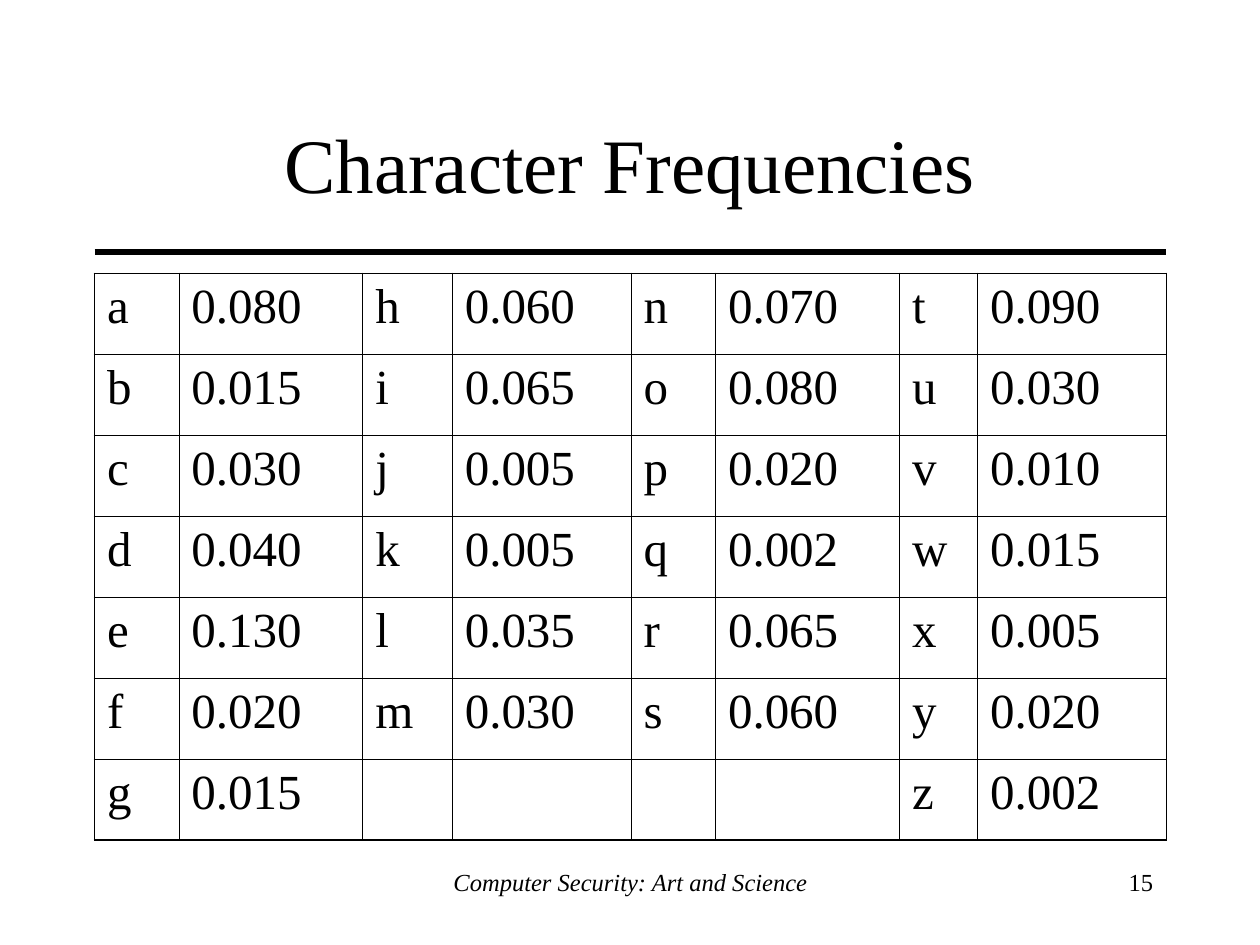
from lxml import etree
from pptx import Presentation
from pptx.dml.color import RGBColor
from pptx.enum.shapes import MSO_CONNECTOR
from pptx.enum.text import MSO_ANCHOR, PP_ALIGN
from pptx.oxml.ns import qn
from pptx.util import Inches, Pt

LEFT, CENTER, RIGHT = PP_ALIGN.LEFT, PP_ALIGN.CENTER, PP_ALIGN.RIGHT
MIDDLE = MSO_ANCHOR.MIDDLE
STRAIGHT = MSO_CONNECTOR.STRAIGHT

TITLE = "Character Frequencies"
FOOTER = "Computer Security: Art and Science"
PAGE = "15"
GROUPS = [
    ("abcdefg", ["0.080", "0.015", "0.030", "0.040", "0.130", "0.020", "0.015"]),
    ("hijklm", ["0.060", "0.065", "0.005", "0.005", "0.035", "0.030"]),
    ("nopqrs", ["0.070", "0.080", "0.020", "0.002", "0.065", "0.060"]),
    ("tuvwxyz", ["0.090", "0.030", "0.010", "0.015", "0.005", "0.020", "0.002"]),
]
WIDTHS = [0.67, 1.46, 0.71, 1.42, 0.67, 1.46, 0.62, 1.5]

THEME = {
    "font": "Times New Roman", "ink": "000000",
    "title": 44, "cell": 28, "foot": 14,
    "rule": 3, "outer": 1.08, "inner": 0.45,
}
EDGE, SPAN = 0.75, 8.5
TABLE_TOP, TABLE_HEIGHT = 2.17, 4.5
FOOT_TOP, FOOT_HEIGHT = 6.83, 0.5
INK = RGBColor.from_string(THEME["ink"])


def write(frame, text, size, align=LEFT, italic=False, before=0):
    frame.text = text
    para = frame.paragraphs[0]
    para.alignment = align
    para.space_before = Pt(before)
    font = para.font
    font.name, font.size, font.italic = THEME["font"], Pt(size), italic
    font.color.rgb = INK


def border(cell, sides):
    """Draw cell borders; sides gives widths in L, R, T, B order."""
    props = cell._tc.get_or_add_tcPr()
    for spot, (side, width) in enumerate(sides.items()):
        line = etree.Element(qn("a:ln" + side), w=str(int(Pt(width))))
        fill = etree.SubElement(line, qn("a:solidFill"))
        etree.SubElement(fill, qn("a:srgbClr"), val=THEME["ink"])
        props.insert(spot, line)


def add_title(slide):
    title = slide.shapes.title
    title.left, title.top = Inches(EDGE), Inches(0.67)
    title.width, title.height = Inches(SPAN), Inches(1.25)
    title.text_frame.vertical_anchor = MIDDLE
    write(title.text_frame, TITLE, THEME["title"], CENTER)


def add_rule(slide):
    rule = slide.shapes.add_connector(
        STRAIGHT, Inches(EDGE), Inches(2), Inches(EDGE + SPAN), Inches(2))
    rule.line.color.rgb = INK
    rule.line.width = Pt(THEME["rule"])
    etree.SubElement(rule._element.spPr, qn("a:effectLst"))


def add_grid(slide):
    rows = max(len(letters) for letters, _ in GROUPS)
    cols = len(WIDTHS)
    table = slide.shapes.add_table(
        rows, cols, Inches(EDGE), Inches(TABLE_TOP),
        Inches(SPAN), Inches(TABLE_HEIGHT)).table
    table.first_row = table.horz_banding = False
    for col, width in zip(table.columns, WIDTHS):
        col.width = Inches(width)
    columns = [column for group in GROUPS for column in group]
    outer, inner = THEME["outer"], THEME["inner"]
    for r in range(rows):
        for c, column in enumerate(columns):
            cell = table.cell(r, c)
            text = column[r] if r < len(column) else ""
            write(cell.text_frame, text, THEME["cell"], before=7)
            cell.fill.background()
            border(cell, {
                "L": inner if c else outer,
                "R": inner if c < cols - 1 else outer,
                "T": inner if r else outer,
                "B": inner if r < rows - 1 else outer,
            })


def add_foot(slide, text, left, width, align, italic=False):
    box = slide.shapes.add_textbox(
        Inches(left), Inches(FOOT_TOP), Inches(width), Inches(FOOT_HEIGHT))
    box.text_frame.word_wrap = True
    write(box.text_frame, text, THEME["foot"], align, italic)


def main():
    deck = Presentation()
    deck.slide_width, deck.slide_height = Inches(10), Inches(7.5)
    slide = deck.slides.add_slide(deck.slide_layouts[5])
    add_rule(slide)
    add_title(slide)
    add_grid(slide)
    add_foot(slide, FOOTER, 3.42, 3.17, CENTER, italic=True)
    add_foot(slide, PAGE, 7.17, 2.08, RIGHT)
    deck.save("out.pptx")


if __name__ == "__main__":
    main()
